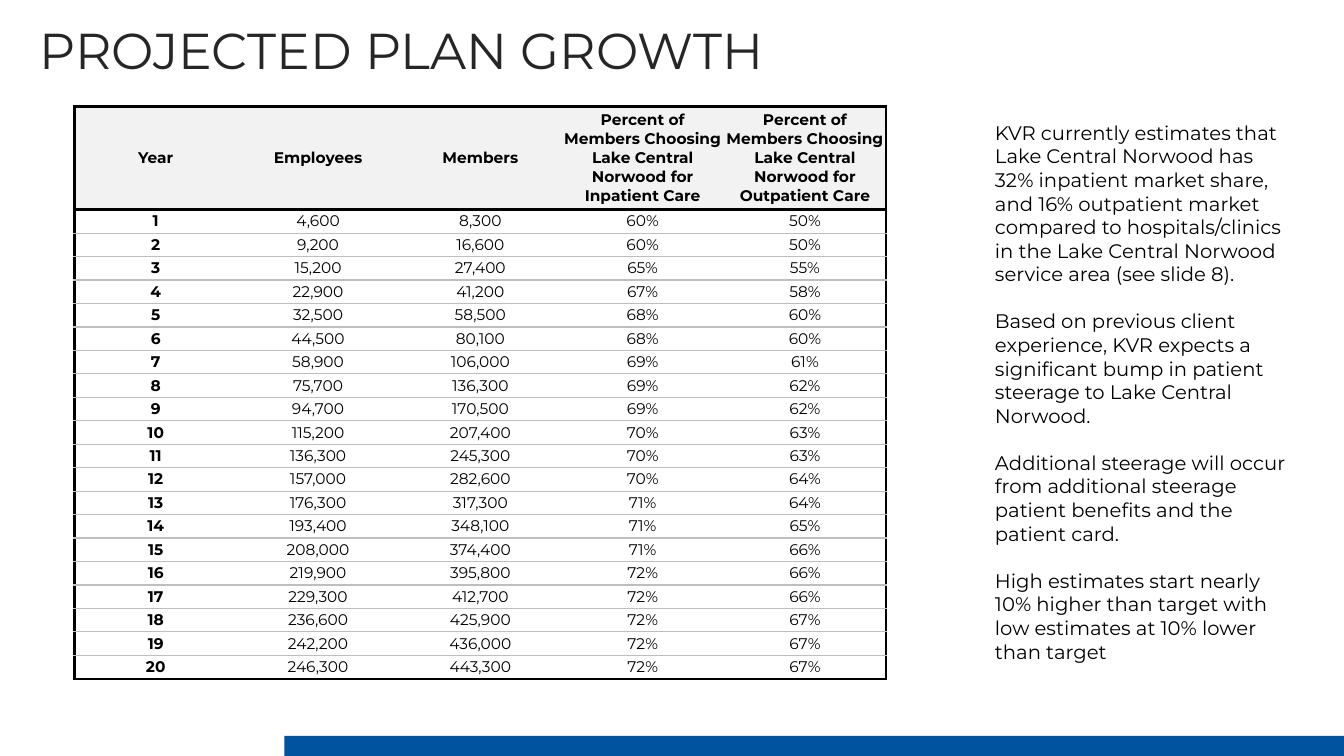
from lxml import etree
from pptx import Presentation
from pptx.dml.color import RGBColor
from pptx.enum.shapes import MSO_SHAPE
from pptx.enum.text import MSO_ANCHOR, MSO_AUTO_SIZE, PP_ALIGN
from pptx.oxml.ns import qn
from pptx.util import Inches, Pt

LEFT, CENTER = PP_ALIGN.LEFT, PP_ALIGN.CENTER
MIDDLE = MSO_ANCHOR.MIDDLE
RECTANGLE = MSO_SHAPE.RECTANGLE
FIT_SHAPE, NO_FIT = MSO_AUTO_SIZE.SHAPE_TO_FIT_TEXT, MSO_AUTO_SIZE.NONE

WIDTH, HEIGHT = Inches(13.33), Inches(7.5)
FONT = "Montserrat"
PLAIN_TABLE_STYLE = "{2D5ABB26-0587-4C30-8999-92F81FD0307C}"
COLORS = {"title": "262626", "text": "000000", "frame": "000000",
          "rule": "BEBEBE", "header": "F2F2F2", "bar": "00539F"}

HEADINGS = [
    "Year", "Employees", "Members",
    "Percent of Members Choosing Lake Central Norwood for Inpatient Care",
    "Percent of Members Choosing Lake Central Norwood for Outpatient Care",
]
# Employees, members, inpatient %, outpatient % for each year
GROWTH = [
    (4600, 8300, 60, 50), (9200, 16600, 60, 50),
    (15200, 27400, 65, 55), (22900, 41200, 67, 58),
    (32500, 58500, 68, 60), (44500, 80100, 68, 60),
    (58900, 106000, 69, 61), (75700, 136300, 69, 62),
    (94700, 170500, 69, 62), (115200, 207400, 70, 63),
    (136300, 245300, 70, 63), (157000, 282600, 70, 64),
    (176300, 317300, 71, 64), (193400, 348100, 71, 65),
    (208000, 374400, 71, 66), (219900, 395800, 72, 66),
    (229300, 412700, 72, 66), (236600, 425900, 72, 67),
    (242200, 436000, 72, 67), (246300, 443300, 72, 67),
]
NOTES = [
    "KVR currently estimates that Lake Central Norwood has 32% inpatient market "
    "share, and 16% outpatient market compared to hospitals/clinics in the "
    "Lake Central Norwood service area (see slide 8).",
    "Based on previous client experience, KVR expects a significant bump in patient "
    "steerage to Lake Central Norwood.",
    "Additional steerage will occur from additional steerage patient benefits "
    "and the patient card.",
    "High estimates start nearly 10% higher than target with low estimates at "
    "10% lower than target",
]


def area(left, top, width, height):
    """Turn percentages of the slide's size into lengths."""
    return (int(WIDTH * left / 100), int(HEIGHT * top / 100),
            int(WIDTH * width / 100), int(HEIGHT * height / 100))


def write(paragraph, text, size, color="text", bold=False, align=LEFT,
          line_spacing=None, space_before=0):
    paragraph.alignment = align
    paragraph.line_spacing = line_spacing
    paragraph.space_before = Pt(space_before)
    run = paragraph.add_run()
    run.text = text
    run.font.name = FONT
    run.font.size = Pt(size)
    run.font.bold = bold
    run.font.color.rgb = RGBColor.from_string(COLORS[color])


def add_title(slide, text, box):
    title = slide.shapes.title
    title.left, title.top, title.width, title.height = box
    frame = title.text_frame
    frame.word_wrap = True
    frame.auto_size = NO_FIT
    frame.vertical_anchor = MIDDLE
    write(frame.paragraphs[0], text, 36, color="title", line_spacing=0.9)


def add_notes(slide, notes, box):
    frame = slide.shapes.add_textbox(*box).text_frame
    frame.word_wrap = True
    frame.auto_size = FIT_SHAPE
    for index, note in enumerate(notes):
        paragraph = frame.add_paragraph() if index else frame.paragraphs[0]
        write(paragraph, note, 14, space_before=17 if index else 0)


def add_bar(slide, box):
    bar = slide.shapes.add_shape(RECTANGLE, *box)
    bar.shadow.inherit = False
    bar.fill.solid()
    bar.fill.fore_color.rgb = RGBColor.from_string(COLORS["bar"])
    bar.line.fill.background()


def add_border(cell, side, color, width):
    line = etree.SubElement(cell._tc.get_or_add_tcPr(), qn(f"a:ln{side}"), w=str(Pt(width)))
    fill = etree.SubElement(line, qn("a:solidFill"))
    etree.SubElement(fill, qn("a:srgbClr"), val=COLORS[color])


def format_cell(cell, row, column, last_row, last_column):
    cell.margin_left = cell.margin_right = cell.margin_top = cell.margin_bottom = 0
    cell.vertical_anchor = MIDDLE
    frame, rule = ("frame", 2), ("rule", 1)
    if column == 0:
        add_border(cell, "L", *frame)
    if column == last_column:
        add_border(cell, "R", *frame)
    add_border(cell, "T", *(frame if row <= 1 else rule))
    add_border(cell, "B", *(frame if row in (0, last_row) else rule))
    if row == 0:
        cell.fill.solid()
        cell.fill.fore_color.rgb = RGBColor.from_string(COLORS["header"])
    else:
        cell.fill.background()


def add_growth_table(slide, rows, box, header_height):
    last_row, last_column = len(rows) - 1, len(rows[0]) - 1
    shape = slide.shapes.add_table(len(rows), len(rows[0]), *box)
    next(shape.element.iter(qn("a:tableStyleId"))).text = PLAIN_TABLE_STYLE
    table = shape.table
    table.first_row = table.horz_banding = False
    for column in table.columns:
        column.width = box[2] // len(rows[0])
    for index, values in enumerate(rows):
        table.rows[index].height = (
            (box[3] - header_height) // last_row if index else header_height)
        for column, value in enumerate(values):
            cell = table.cell(index, column)
            format_cell(cell, index, column, last_row, last_column)
            write(cell.text_frame.paragraphs[0], value, 11, align=CENTER,
                  bold=index == 0 or column == 0)


def main():
    presentation = Presentation()
    presentation.slide_width, presentation.slide_height = WIDTH, HEIGHT
    slide = presentation.slides.add_slide(presentation.slide_layouts[5])

    # Side notes and title
    add_notes(slide, NOTES, area(73.29, 15.33, 23.56, 70.4))
    add_title(slide, "PROJECTED PLAN GROWTH", area(2.18, -2.67, 90.92, 19.33))

    # Footer bar
    add_bar(slide, area(21.16, 97.33, 78.84, 2.67))

    # Growth by year
    rows = [HEADINGS] + [
        [str(year), f"{employees:,}", f"{members:,}", f"{inpatient}%", f"{outpatient}%"]
        for year, (employees, members, inpatient, outpatient) in enumerate(GROWTH, 1)]
    add_growth_table(slide, rows, area(5.55, 14.07, 60.39, 75.73),
                     header_height=area(0, 0, 0, 13.67)[3])

    presentation.save("out.pptx")


if __name__ == "__main__":
    main()
